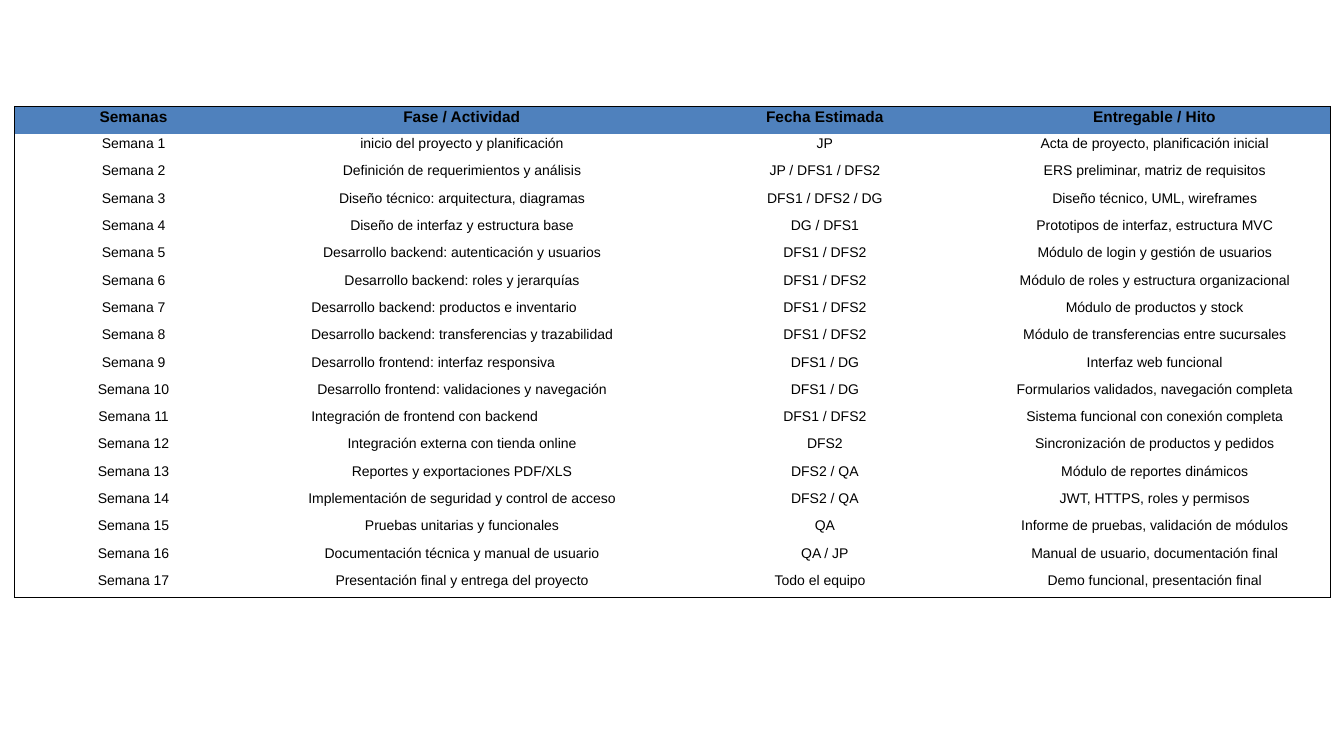
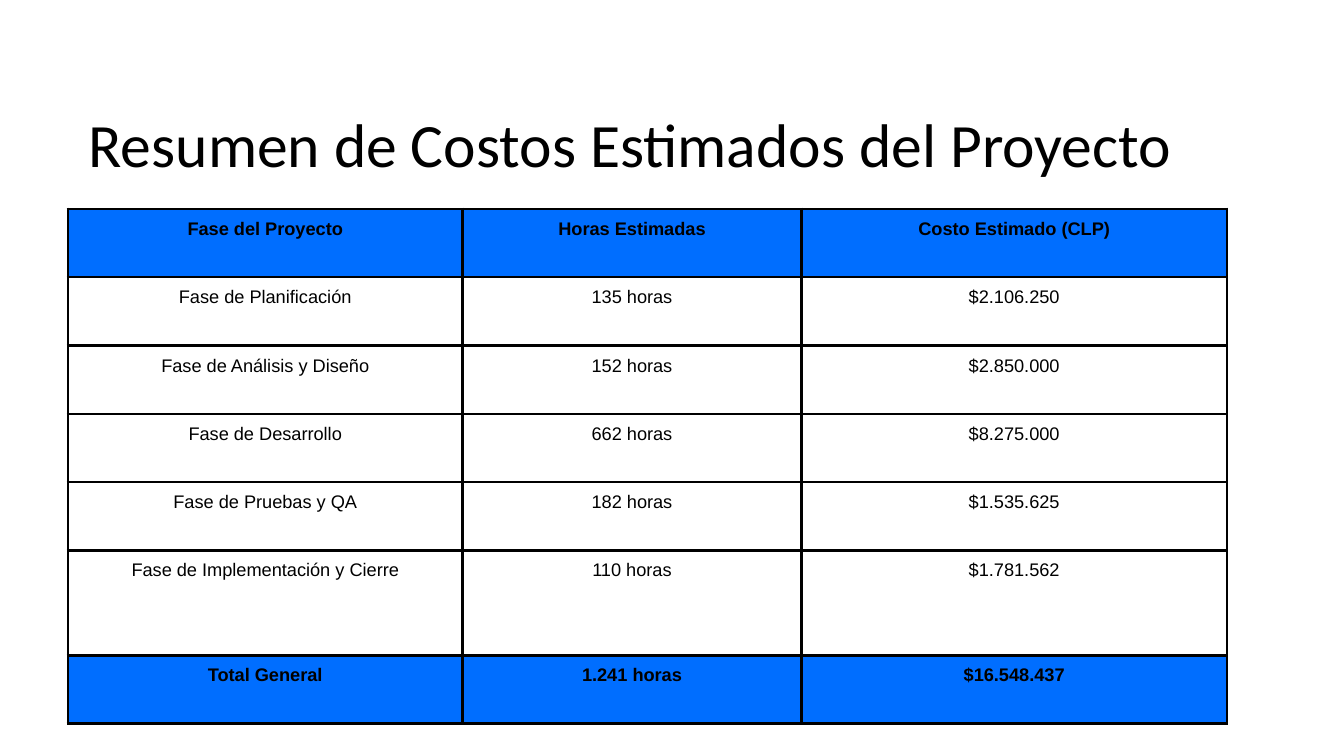
from dataclasses import dataclass, field

from lxml import etree
from pptx import Presentation
from pptx.dml.color import RGBColor
from pptx.enum.text import MSO_ANCHOR, PP_ALIGN
from pptx.oxml.ns import qn
from pptx.slide import Slide
from pptx.table import _Cell
from pptx.text.text import _Paragraph
from pptx.util import Pt

LEFT, CENTER = PP_ALIGN.LEFT, PP_ALIGN.CENTER
MIDDLE = MSO_ANCHOR.MIDDLE

BLACK = "000000"
STEEL = "4F81BD"
BLUE = "006EFF"
BODY_FONT, TITLE_FONT = "Arial", "Calibri"


@dataclass
class Grid:
    left: float
    top: float
    cols: list[float]
    highs: list[float]
    rows: list[tuple[str, ...]]
    fill: str
    heads: set[int]  # filled rows in bold
    head_size: float
    size: float
    pad_x: float
    pad_y: float
    outer: float  # width of the frame
    inner: float  # width of the inner lines, 0 for none
    space: float = 1.0
    starts: dict[tuple[int, int], float] = field(default_factory=dict)  # left-set cells


def color(code: str) -> RGBColor:
    return RGBColor.from_string(code)


def add_text(para: _Paragraph, text: str, font: str, size: float, bold: bool = False) -> None:
    run = para.add_run()
    run.text = text
    run.font.name = font
    run.font.size = Pt(size)
    run.font.bold = bold
    run.font.color.rgb = color(BLACK)


def add_edge(cell: _Cell, side: str, width: float) -> None:
    line = etree.SubElement(cell._tc.get_or_add_tcPr(), qn(f"a:ln{side}"))
    line.set("w", str(int(Pt(width))))
    if width:
        fill = etree.SubElement(line, qn("a:solidFill"))
        etree.SubElement(fill, qn("a:srgbClr")).set("val", BLACK)
    else:
        etree.SubElement(line, qn("a:noFill"))


def add_title(slide: Slide, text: str) -> None:
    box = slide.shapes.add_textbox(Pt(56.2), Pt(61.2), Pt(828), Pt(87.8))
    frame = box.text_frame
    frame.word_wrap = True
    frame.vertical_anchor = MIDDLE
    para = frame.paragraphs[0]
    para.line_spacing = 0.9
    add_text(para, text, TITLE_FONT, 44)


def fill_cell(cell: _Cell, grid: Grid, row: int, col: int) -> None:
    # Edges come before the fill
    last_row, last_col = len(grid.rows) - 1, len(grid.cols) - 1
    ends = {"L": col == 0, "R": col == last_col, "T": row == 0, "B": row == last_row}
    for side, end in ends.items():
        add_edge(cell, side, grid.outer if end else grid.inner)
    head = row in grid.heads
    if head:
        cell.fill.solid()
        cell.fill.fore_color.rgb = color(grid.fill)
    else:
        cell.fill.background()

    # Text
    start = grid.starts.get((row, col))
    cell.margin_left = Pt(start or grid.pad_x)
    cell.margin_right = Pt(grid.pad_x)
    cell.margin_top = cell.margin_bottom = Pt(grid.pad_y)
    para = cell.text_frame.paragraphs[0]
    para.alignment = LEFT if start else CENTER
    para.line_spacing = grid.space
    size = grid.head_size if head else grid.size
    add_text(para, grid.rows[row][col], BODY_FONT, size, head)


def add_grid(slide: Slide, grid: Grid) -> None:
    table = slide.shapes.add_table(
        len(grid.rows), len(grid.cols), Pt(grid.left), Pt(grid.top),
        Pt(sum(grid.cols)), Pt(sum(grid.highs))).table
    table.first_row = table.horz_banding = False
    for col, width in enumerate(grid.cols):
        table.columns[col].width = Pt(width)
    for row, high in enumerate(grid.highs):
        table.rows[row].height = Pt(high)
        for col in range(len(grid.cols)):
            fill_cell(table.cell(row, col), grid, row, col)


# Weekly plan: activity, team, result
TASKS = [
    ("inicio del proyecto y planificación", "JP", "Acta de proyecto, planificación inicial"),
    ("Definición de requerimientos y análisis", "JP / DFS1 / DFS2",
     "ERS preliminar, matriz de requisitos"),
    ("Diseño técnico: arquitectura, diagramas", "DFS1 / DFS2 / DG",
     "Diseño técnico, UML, wireframes"),
    ("Diseño de interfaz y estructura base", "DG / DFS1",
     "Prototipos de interfaz, estructura MVC"),
    ("Desarrollo backend: autenticación y usuarios", "DFS1 / DFS2",
     "Módulo de login y gestión de usuarios"),
    ("Desarrollo backend: roles y jerarquías", "DFS1 / DFS2",
     "Módulo de roles y estructura organizacional"),
    ("Desarrollo backend: productos e inventario", "DFS1 / DFS2",
     "Módulo de productos y stock"),
    ("Desarrollo backend: transferencias y trazabilidad", "DFS1 / DFS2",
     "Módulo de transferencias entre sucursales"),
    ("Desarrollo frontend: interfaz responsiva", "DFS1 / DG", "Interfaz web funcional"),
    ("Desarrollo frontend: validaciones y navegación", "DFS1 / DG",
     "Formularios validados, navegación completa"),
    ("Integración de frontend con backend", "DFS1 / DFS2",
     "Sistema funcional con conexión completa"),
    ("Integración externa con tienda online", "DFS2", "Sincronización de productos y pedidos"),
    ("Reportes y exportaciones PDF/XLS", "DFS2 / QA", "Módulo de reportes dinámicos"),
    ("Implementación de seguridad y control de acceso", "DFS2 / QA",
     "JWT, HTTPS, roles y permisos"),
    ("Pruebas unitarias y funcionales", "QA", "Informe de pruebas, validación de módulos"),
    ("Documentación técnica y manual de usuario", "QA / JP",
     "Manual de usuario, documentación final"),
    ("Presentación final y entrega del proyecto", "Todo el equipo",
     "Demo funcional, presentación final"),
]
WEEKS = [("Semanas", "Fase / Actividad", "Fecha Estimada", "Entregable / Hito")]
WEEKS += [(f"Semana {week}", *task) for week, task in enumerate(TASKS, 1)]

PLAN = Grid(
    left=10.4, top=76, cols=[170, 299, 219.6, 251.4], highs=[19.53] * len(WEEKS),
    rows=WEEKS, fill=STEEL, heads={0}, head_size=11, size=10, pad_x=5, pad_y=0,
    outer=0.63, inner=0, space=1.15,
    starts={(7, 1): 42, (9, 1): 42, (11, 1): 42, (17, 2): 74})

# Cost summary
COSTS = Grid(
    left=48.4, top=149.2, cols=[282, 242, 304], highs=[48.8] * 5 + [75, 48.8],
    rows=[
        ("Fase del Proyecto", "Horas Estimadas", "Costo Estimado (CLP)"),
        ("Fase de Planificación", "135 horas", "$2.106.250"),
        ("Fase de Análisis y Diseño", "152 horas", "$2.850.000"),
        ("Fase de Desarrollo", "662 horas", "$8.275.000"),
        ("Fase de Pruebas y QA", "182 horas", "$1.535.625"),
        ("Fase de Implementación y Cierre", "110 horas", "$1.781.562"),
        ("Total General", "1.241 horas", "$16.548.437"),
    ],
    fill=BLUE, heads={0, 6}, head_size=13, size=13, pad_x=7.2, pad_y=7.2,
    outer=2, inner=2)


def main() -> None:
    deck = Presentation()
    deck.slide_width, deck.slide_height = Pt(960), Pt(540)
    blank = deck.slide_layouts[6]

    add_grid(deck.slides.add_slide(blank), PLAN)

    slide = deck.slides.add_slide(blank)
    add_title(slide, "Resumen de Costos Estimados del Proyecto")
    add_grid(slide, COSTS)

    deck.save("out.pptx")


if __name__ == "__main__":
    main()
